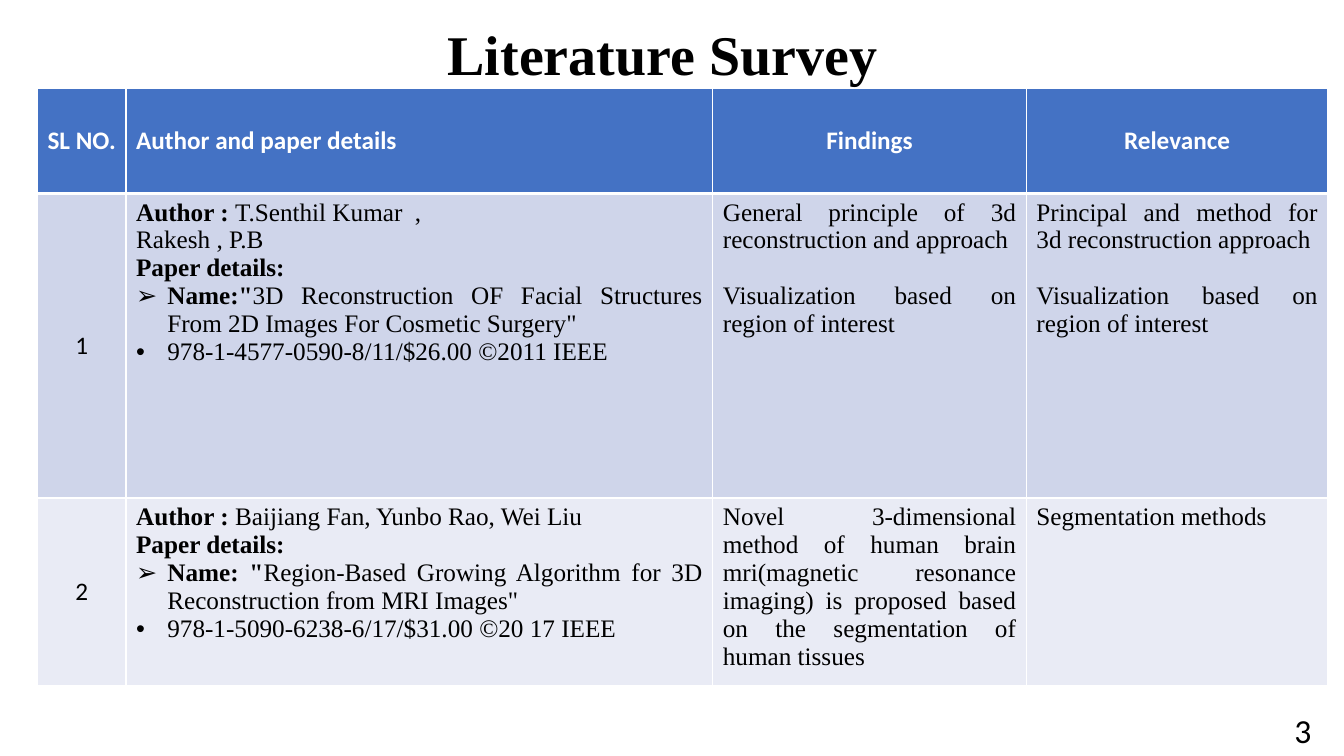
"""Build the literature survey slide with its table of papers."""
from dataclasses import dataclass

from lxml import etree
from pptx import Presentation
from pptx import util as u
from pptx.dml.color import RGBColor
from pptx.enum import text
from pptx.oxml import ns


@dataclass(frozen=True)
class Theme:
    """Colours, fonts and type sizes of the slide."""
    ink: str = "000000"
    paper: str = "FFFFFF"
    header: str = "4472C4"
    bands: tuple[str, ...] = ("CFD5EA", "E9EBF5")
    sans: str = "Calibri"
    serif: str = "Times New Roman"
    title_size: float = 40
    body_size: float = 18
    number_size: float = 24
    line_pitch: float = 20
    thin: float = 1
    thick: float = 3


@dataclass(frozen=True)
class Line:
    """One paragraph: a bold lead, plain words, a bullet and a space before."""
    lead: str = ""
    words: str = ""
    bullet: str = ""
    gap: float = 0


@dataclass(frozen=True)
class Paper:
    """One row of the survey."""
    number: str
    details: tuple[Line, ...]
    findings: tuple[Line, ...]
    relevance: tuple[Line, ...]


@dataclass(frozen=True)
class Area:
    """A place on a grid of 100 columns by 100 rows."""
    left: float
    top: float
    width: float
    height: float


THEME = Theme()
ALIGN = text.PP_ALIGN
ANCHOR = text.MSO_ANCHOR
WIDTH, HEIGHT = u.Inches(13.33), u.Inches(7.5)
TITLE = Area(6.15, -2.13, 86.27, 19.33)
PAGE_NUMBER = Area(95.57, 93.2, 4.4, 6.67)
COLUMNS = (6.6, 43.66, 23.33, 22.43)
ROWS = (13.87, 40.27, 24.8)
SURVEY = Area(2.78, 11.73, sum(COLUMNS), sum(ROWS))
HEADINGS = (("SL NO.", ALIGN.CENTER), ("Author and paper details", ALIGN.LEFT),
            ("Findings", ALIGN.CENTER), ("Relevance", ALIGN.CENTER))
REGION = Line(words="Visualization based on region of interest", gap=THEME.line_pitch)
PAPERS = (
    Paper("1",
          (Line("Author : ", "T.Senthil Kumar  ,"),
           Line(words="Rakesh , P.B "),
           Line("Paper details:"),
           Line('Name:"', '3D Reconstruction OF Facial Structures From 2D Images '
                'For Cosmetic Surgery"', "➢"),
           Line(words="978-1-4577-0590-8/11/$26.00 ©2011 IEEE", bullet="•")),
          (Line(words="General principle of 3d reconstruction and approach"), REGION),
          (Line(words="Principal and method for 3d reconstruction approach"), REGION)),
    Paper("2",
          (Line("Author : ", "Baijiang Fan, Yunbo Rao, Wei Liu"),
           Line("Paper details:"),
           Line('Name: "', 'Region-Based Growing Algorithm for 3D Reconstruction '
                'from MRI Images"', "➢"),
           Line(words="978-1-5090-6238-6/17/$31.00 ©20 17 IEEE ", bullet="•")),
          (Line(words="Novel 3-dimensional method of human brain mri(magnetic resonance "
                "imaging) is proposed based on the segmentation of human tissues"),),
          (Line(words="Segmentation methods"),)),
)


def across(columns: float) -> u.Emu:
    """Turn grid columns into a length."""
    return u.Emu(round(WIDTH * columns / 100))


def down(rows: float) -> u.Emu:
    """Turn grid rows into a length."""
    return u.Emu(round(HEIGHT * rows / 100))


def place(area: Area) -> tuple[u.Emu, u.Emu, u.Emu, u.Emu]:
    """Give the left, top, width and height of an area."""
    return across(area.left), down(area.top), across(area.width), down(area.height)


def add_bullet(para, mark: str) -> None:
    """Give a paragraph a hanging bullet."""
    properties = para._p.get_or_add_pPr()
    indent = u.Inches(0.31)
    properties.set("marL", str(indent))
    properties.set("indent", str(-indent))
    etree.SubElement(properties, ns.qn("a:buFont")).set("typeface", "Arial")
    etree.SubElement(properties, ns.qn("a:buChar")).set("char", mark)


def write(frame, lines: tuple[Line, ...], *, font: str = THEME.serif,
          size: float = THEME.body_size, color: str = THEME.ink,
          align: ALIGN = ALIGN.JUSTIFY, spacing: float = 1.0) -> None:
    """Write formatted lines into a text frame."""
    for index, line in enumerate(lines):
        para = frame.add_paragraph() if index else frame.paragraphs[0]
        if line.bullet:
            add_bullet(para, line.bullet)
        para.alignment = align
        para.line_spacing = spacing
        para.space_before = u.Pt(line.gap)
        for words, bold in ((line.lead, True), (line.words, False)):
            if words:
                span = para.add_run()
                span.text = words
                span.font.name = font
                span.font.size = u.Pt(size)
                span.font.bold = bold
                span.font.color.rgb = RGBColor.from_string(color)


def style_cell(cell, fill: str, anchor: ANCHOR, top: float, bottom: float) -> None:
    """Set the borders, fill and anchor of a table cell."""
    properties = cell._tc.get_or_add_tcPr()
    widths = {"lnL": THEME.thin, "lnR": THEME.thin, "lnT": top, "lnB": bottom}
    for side, width in widths.items():
        border = etree.SubElement(properties, ns.qn(f"a:{side}"), w=str(u.Pt(width)))
        solid = etree.SubElement(border, ns.qn("a:solidFill"))
        etree.SubElement(solid, ns.qn("a:srgbClr")).set("val", THEME.paper)
    cell.fill.solid()
    cell.fill.fore_color.rgb = RGBColor.from_string(fill)
    cell.vertical_anchor = anchor


def add_survey(page) -> None:
    """Draw the table of papers."""
    table = page.shapes.add_table(len(ROWS), len(COLUMNS), *place(SURVEY)).table
    table.horz_banding = False
    for column, share in zip(table.columns, COLUMNS):
        column.width = across(share)
    for row, share in zip(table.rows, ROWS):
        row.height = down(share)
    for index, (heading, align) in enumerate(HEADINGS):
        cell = table.cell(0, index)
        style_cell(cell, THEME.header, ANCHOR.MIDDLE, THEME.thin, THEME.thick)
        write(cell.text_frame, (Line(heading),), font=THEME.sans,
              color=THEME.paper, align=align)
    for row, (paper, band) in enumerate(zip(PAPERS, THEME.bands), start=1):
        top = THEME.thick if row == 1 else THEME.thin
        number = table.cell(row, 0)
        style_cell(number, band, ANCHOR.MIDDLE, top, THEME.thin)
        write(number.text_frame, (Line(words=paper.number),), font=THEME.sans,
              align=ALIGN.CENTER)
        for column, lines in enumerate((paper.details, paper.findings, paper.relevance), start=1):
            cell = table.cell(row, column)
            style_cell(cell, band, ANCHOR.TOP, top, THEME.thin)
            write(cell.text_frame, lines)


def main() -> None:
    """Build and save the deck."""
    deck = Presentation()
    deck.slide_width, deck.slide_height = WIDTH, HEIGHT
    page = deck.slides.add_slide(deck.slide_layouts[5])
    title = page.shapes.title
    title.left, title.top, title.width, title.height = place(TITLE)
    title.text_frame.auto_size = text.MSO_AUTO_SIZE.NONE
    title.text_frame.vertical_anchor = ANCHOR.MIDDLE
    write(title.text_frame, (Line("Literature Survey"),), size=THEME.title_size,
          align=ALIGN.CENTER, spacing=0.9)
    add_survey(page)
    box = page.shapes.add_textbox(*place(PAGE_NUMBER))
    box.text_frame.word_wrap = True
    write(box.text_frame, (Line(words="3"),), font=THEME.sans,
          size=THEME.number_size, align=ALIGN.LEFT)
    deck.save("out.pptx")


if __name__ == "__main__":
    main()
